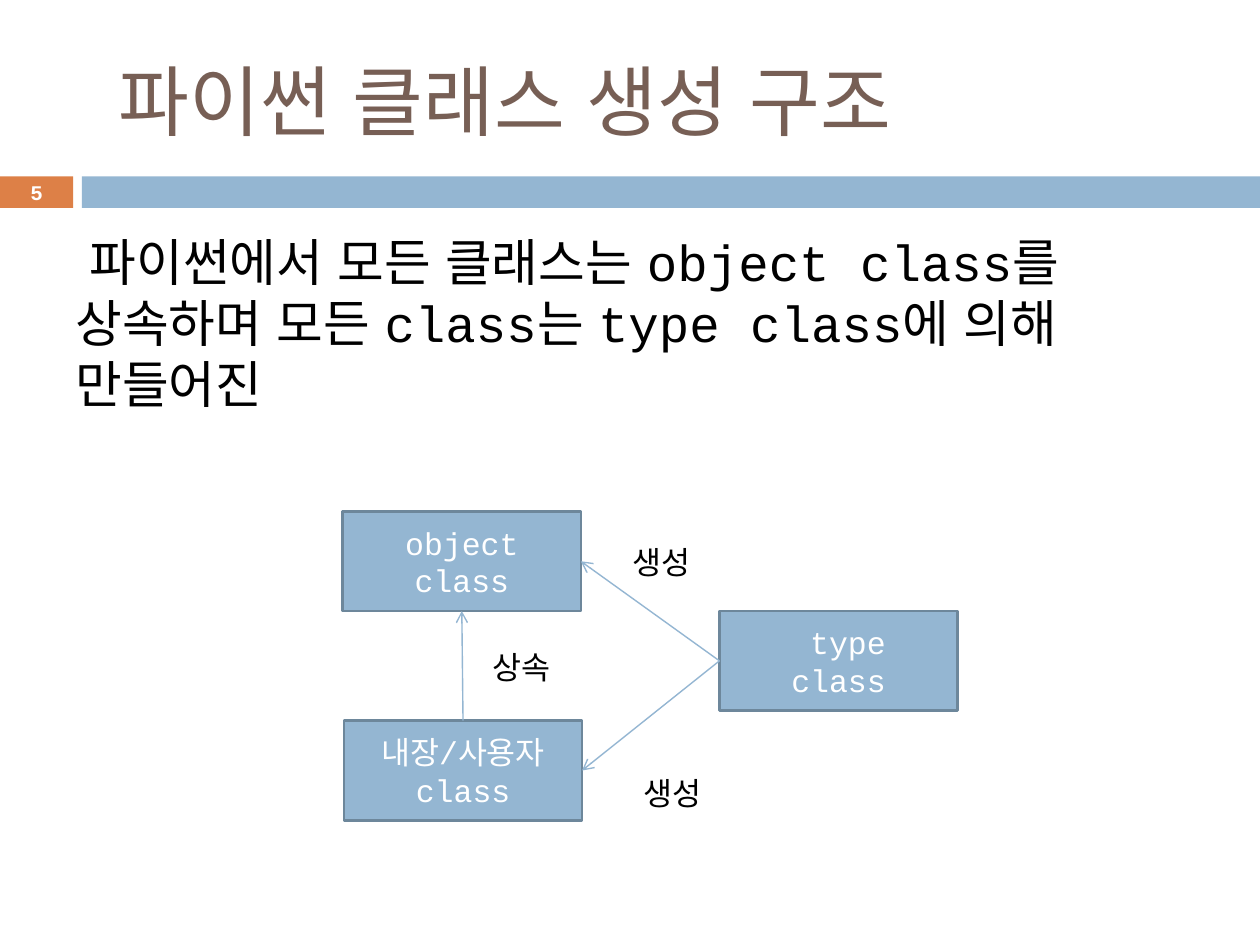
from pptx import Presentation
from pptx.dml.color import RGBColor
from pptx.enum.shapes import MSO_CONNECTOR, MSO_SHAPE
from pptx.enum.text import MSO_ANCHOR, PP_ALIGN
from pptx.oxml.ns import qn
from pptx.util import Inches, Pt
from lxml.etree import SubElement

FONT, KOREAN_FONT = "Courier New", "Arial"
BLUE, EDGE, ORANGE, BROWN = "94B6D2", "6D879B", "DD8047", "775F55"
WHITE, BLACK = "FFFFFF", "000000"
BOX_W, BOX_H = 1.89, 0.79
TOP, LEFT, BOTTOM, RIGHT = range(4)

title = " 파이썬 클래스 생성 구조"
body = (" 파이썬에서 모든 클래스는 object class를 상속하며 "
        "모든 class는 type class에 의해 만들어진")
bars = [(0, 0.58, ORANGE), (0.65, 9.35, BLUE)]
classes = {
    "object": (2.72, 4.06, " object \nclass"),
    "user": (2.73, 5.72, "내장/사용자\nclass"),
    "type": (5.71, 4.85, " type\nclass"),
}
arrows = [
    ("user", TOP, "object", BOTTOM),
    ("type", LEFT, "object", RIGHT),
    ("type", LEFT, "user", RIGHT),
]
labels = [(3.74, 5.09, " 상속"), (4.94, 6.09, " 생성"), (4.85, 4.26, " 생성")]

prs = Presentation()
prs.slide_width, prs.slide_height = Inches(10), Inches(7.5)
s = prs.slides.add_slide(prs.slide_layouts[6])


def rgb(value):
    return RGBColor.from_string(value)


def write(sp, text, size=18, color=BLACK, bold=False, align=PP_ALIGN.LEFT,
          anchor=MSO_ANCHOR.TOP, before=0):
    tf = sp.text_frame
    tf.word_wrap = True
    tf.vertical_anchor = anchor
    for i, line in enumerate(text.split("\n")):
        p = tf.add_paragraph() if i else tf.paragraphs[0]
        p.alignment = align
        p.space_before = Pt(before)
        r = p.add_run()
        r.text = line
        r.font.name = FONT
        r.font.size = Pt(size)
        r.font.bold = bold
        r.font.color.rgb = rgb(color)
        SubElement(r.font._element, qn("a:ea"), typeface=KOREAN_FONT)


def add_text(x, y, w, h, text, **fmt):
    write(s.shapes.add_textbox(Inches(x), Inches(y), Inches(w), Inches(h)), text, **fmt)


def add_rect(x, y, w, h, fill, line=None):
    sp = s.shapes.add_shape(MSO_SHAPE.RECTANGLE, Inches(x), Inches(y), Inches(w), Inches(h))
    sp.shadow.inherit = False
    sp.fill.solid()
    sp.fill.fore_color.rgb = rgb(fill)
    if line:
        sp.line.color.rgb = rgb(line)
        sp.line.width = Pt(1.5)
    else:
        sp.line.fill.background()
    return sp


def add_arrow(start, start_site, end, end_site):
    c = s.shapes.add_connector(MSO_CONNECTOR.STRAIGHT, 0, 0, 0, 0)
    c.begin_connect(start, start_site)
    c.end_connect(end, end_site)
    c.line.color.rgb = rgb(BLUE)
    c.line.width = Pt(0.79)
    SubElement(c.line._get_or_add_ln(), qn("a:tailEnd"), type="arrow")
    SubElement(c._element.spPr, qn("a:effectLst"))


for x, w, fill in bars:
    add_rect(x, 1.4, w, 0.25, fill)

add_text(0.67, 0.25, 8.92, 1.08, title, size=44, color=BROWN, anchor=MSO_ANCHOR.MIDDLE)
add_text(0.5, 1.78, 9, 1.81, body, size=29, before=7)

boxes = {}
for name, (x, y, text) in classes.items():
    boxes[name] = add_rect(x, y, BOX_W, BOX_H, BLUE, EDGE)
    write(boxes[name], text, color=WHITE, align=PP_ALIGN.CENTER, anchor=MSO_ANCHOR.MIDDLE)

for start, start_site, end, end_site in arrows:
    add_arrow(boxes[start], start_site, boxes[end], end_site)

for x, y, text in labels:
    add_text(x, y, 1.1, 0.4, text)

add_text(0, 1.39, 0.58, 0.27, "5", size=11.9, color=WHITE, bold=True,
         align=PP_ALIGN.CENTER, anchor=MSO_ANCHOR.MIDDLE)

prs.save("out.pptx")
